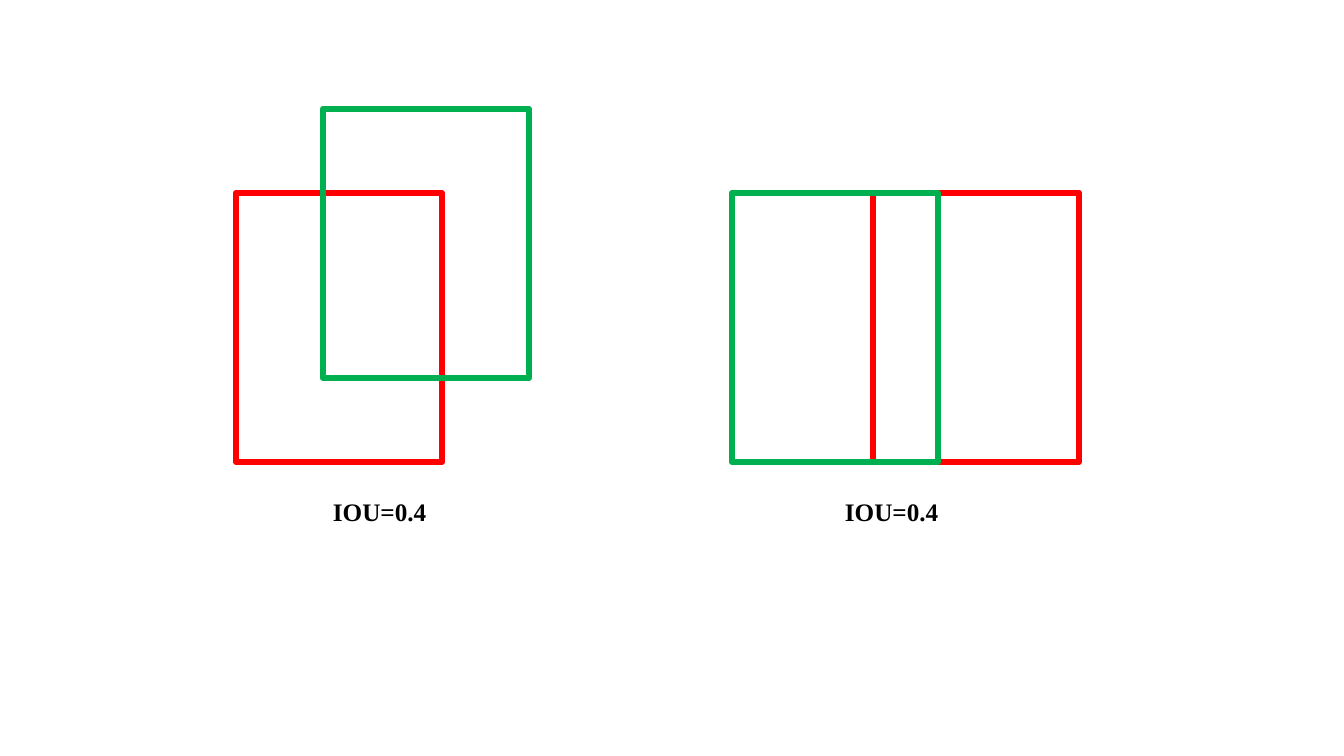
import pptx
import pptx.util
import pptx.dml.color
import pptx.enum.shapes
import pptx.enum.text

EMU_PER_PIXEL = 914400 / 100.8
RED, GREEN, BLACK = "FF0000", "00B050", "000000"
BOX_WIDTH, BOX_HEIGHT = 206, 269
LABEL_WIDTH, LABEL_HEIGHT = 228, 40


def px(length):
    return pptx.util.Emu(round(length * EMU_PER_PIXEL))


def color(code):
    return pptx.dml.color.RGBColor.from_string(code)


def write(frame, text, font="Times New Roman", size=18, bold=False, fill=BLACK):
    span = frame.paragraphs[0].add_run()
    span.text = text
    span.font.name = font
    span.font.size = pptx.util.Pt(size)
    span.font.bold = bold
    span.font.color.rgb = color(fill)


class Sketch:
    """Holds the current page and its outline style."""

    def __init__(self, page, line_width=4.5):
        self.page = page
        self.line_width = pptx.util.Pt(line_width)

    def bounding_box(self, left, top, line):
        box = self.page.shapes.add_shape(
            pptx.enum.shapes.MSO_SHAPE.RECTANGLE,
            px(left), px(top), px(BOX_WIDTH), px(BOX_HEIGHT))
        box.shadow.inherit = False
        box.fill.background()
        box.line.color.rgb = color(line)
        box.line.width = self.line_width

    def label(self, left, top, text):
        box = self.page.shapes.add_textbox(
            px(left), px(top), px(LABEL_WIDTH), px(LABEL_HEIGHT))
        frame = box.text_frame
        frame.word_wrap = True
        frame.auto_size = pptx.enum.text.MSO_AUTO_SIZE.SHAPE_TO_FIT_TEXT
        write(frame, text, bold=True)


deck = pptx.Presentation()
deck.slide_width, deck.slide_height = px(1344), px(756)
blank_layout = deck.slide_layouts[6]
sketch = Sketch(deck.slides.add_slide(blank_layout))

# Two overlaps with the same IOU: red box, green box, label position
overlaps = [
    ((236, 193), (323, 109), 323),
    ((873, 193), (732, 193), 835),
]
for red_corner, green_corner, label_left in overlaps:
    sketch.bounding_box(*red_corner, line=RED)
    sketch.bounding_box(*green_corner, line=GREEN)
    sketch.label(label_left, 491, "IOU=0.4")

deck.save("out.pptx")
